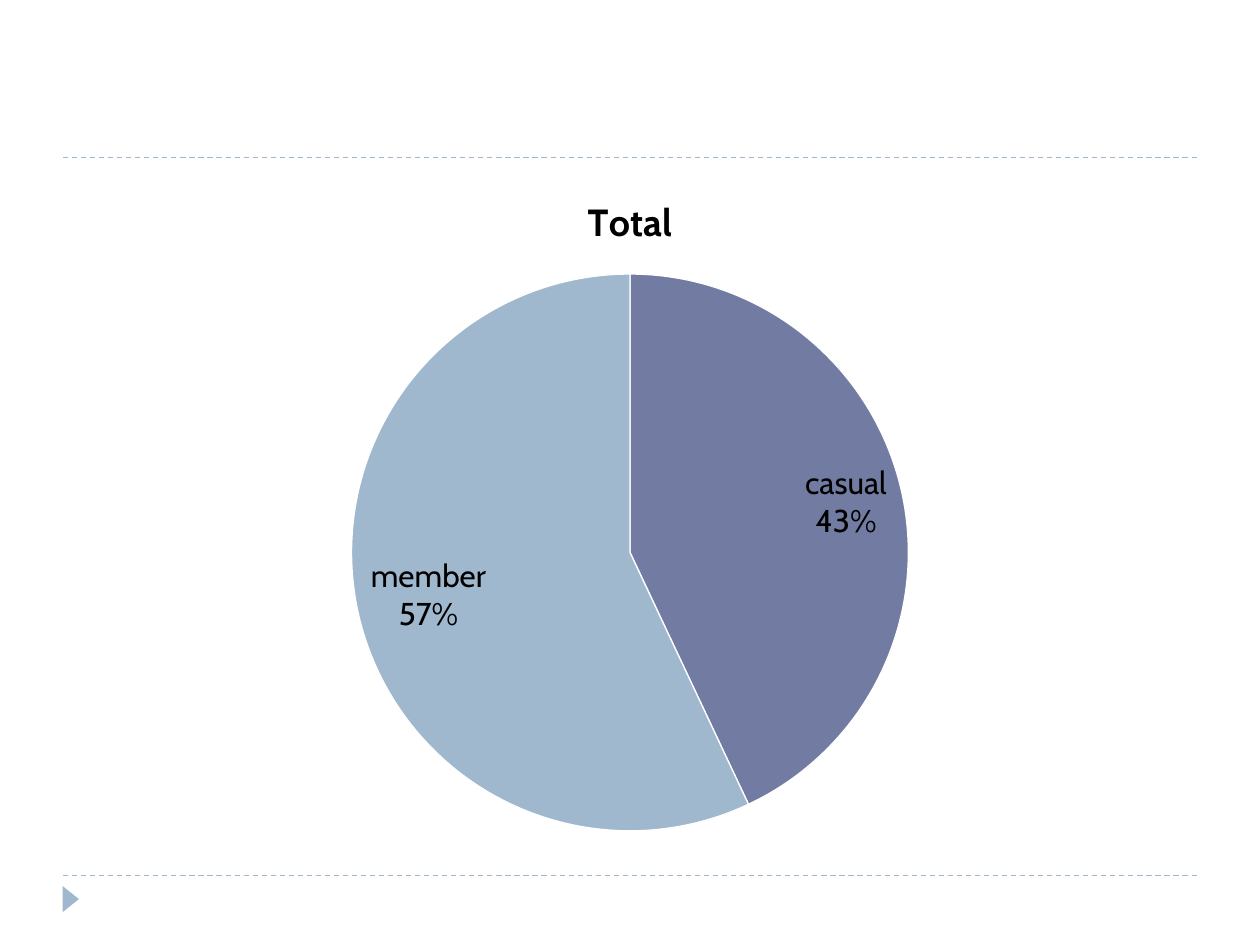
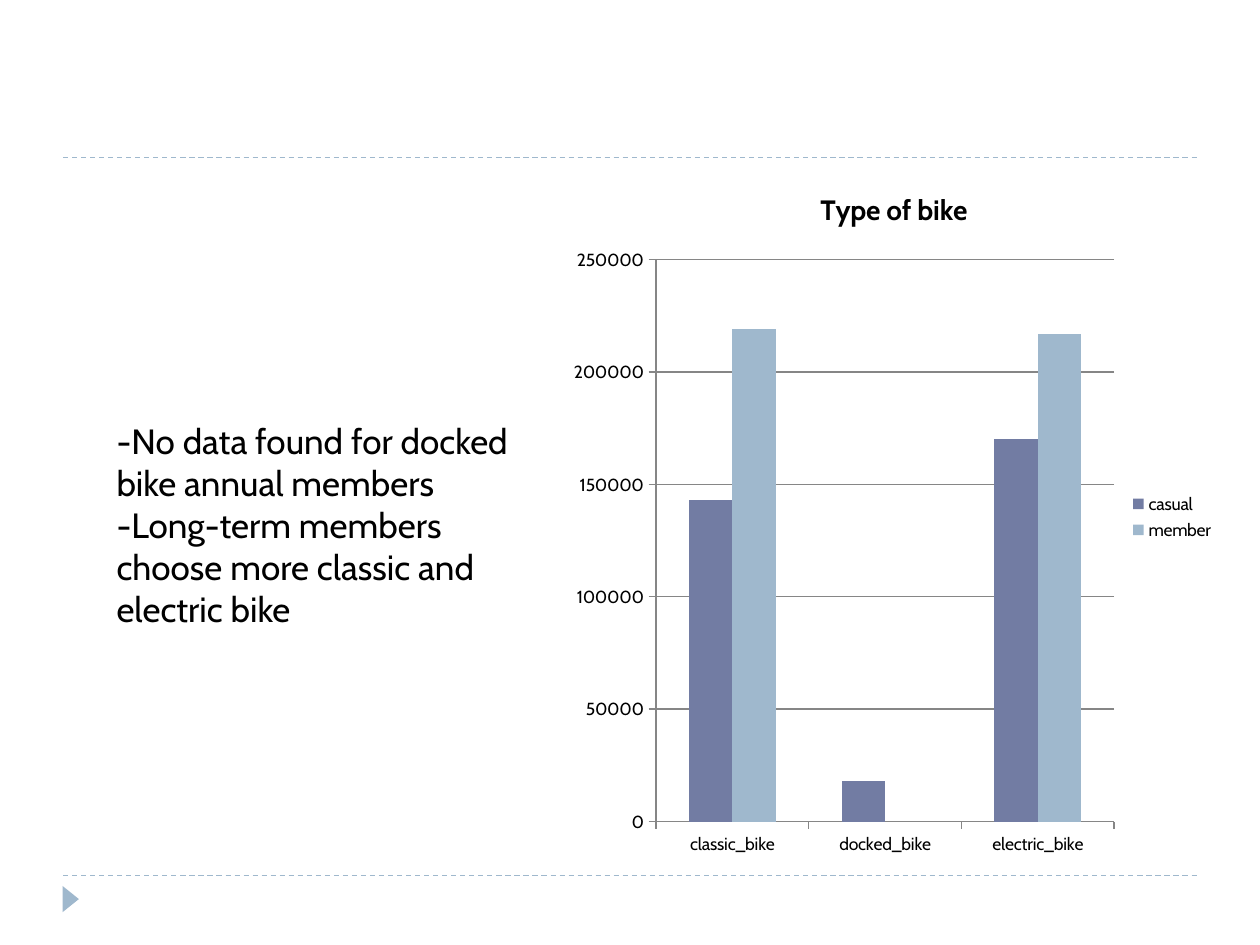
import pptx
import pptx.chart.data
import pptx.dml.color
import pptx.enum.chart
import pptx.enum.dml
import pptx.enum.shapes
import pptx.oxml
import pptx.oxml.ns
import pptx.util
from dataclasses import dataclass

Cm = pptx.util.Cm
Pt = pptx.util.Pt
RGB = pptx.dml.color.RGBColor.from_string
XL = pptx.enum.chart


@dataclass(frozen=True)
class Theme:
    font: str = "Cabin"
    text: str = "000000"
    casual: str = "727CA3"
    member: str = "9FB8CD"
    axis: str = "868686"
    white: str = "FFFFFF"
    body_size: float = 20
    pie_size: float = 18
    pie_title_size: float = 21.6
    bar_size: float = 10
    bar_title_size: float = 16


THEME = Theme()


def style_font(font, size, bold=False):
    font.name = THEME.font
    font.size = Pt(size)
    font.bold = bold
    font.color.rgb = RGB(THEME.text)


def add_rule(slide, y):
    line = slide.shapes.add_connector(
        pptx.enum.shapes.MSO_CONNECTOR.STRAIGHT, Cm(1.27), Cm(y), Cm(24.13), Cm(y))
    line.line.color.rgb = RGB(THEME.member)
    line.line.width = Pt(0.75)
    line.line.dash_style = pptx.enum.dml.MSO_LINE.DASH
    line._element.spPr.append(pptx.oxml.parse_xml(
        f'<a:effectLst {pptx.oxml.ns.nsdecls("a")}/>'))


def add_marker(slide):
    sp = slide.shapes.add_shape(
        pptx.enum.shapes.MSO_SHAPE.ISOSCELES_TRIANGLE,
        Cm(1.16), Cm(17.96), Cm(0.53), Cm(0.33))
    sp.rotation = 90
    sp.shadow.inherit = False
    sp.fill.solid()
    sp.fill.fore_color.rgb = RGB(THEME.member)
    sp.line.fill.background()


def add_framed_slide(prs):
    """Add a blank slide with the shared rules and footer marker."""
    slide = prs.slides.add_slide(prs.slide_layouts[6])
    for y in (17.65, 3.18):
        add_rule(slide, y)
    add_marker(slide)
    return slide


def add_chart(slide, kind, box, categories, series, title, size, title_size):
    data = pptx.chart.data.CategoryChartData()
    data.categories = categories
    for name, values in series:
        data.add_series(name, values)
    chart = slide.shapes.add_chart(kind, *map(Cm, box), data).chart
    style_font(chart.font, size)
    chart.has_title = True
    tf = chart.chart_title.text_frame
    tf.text = title
    style_font(tf.paragraphs[0].runs[0].font, title_size, bold=True)
    chart.chart_title.include_in_layout = False
    return chart


def add_total_pie(slide):
    chart = add_chart(
        slide, XL.XL_CHART_TYPE.PIE, (1.27, 3.38, 22.86, 13.72),
        ["casual", "member"], [("Series 1", (43, 57))],
        "Total", THEME.pie_size, THEME.pie_title_size)
    chart.has_legend = False
    plot = chart.plots[0]
    plot.vary_by_categories = True
    for i, color in enumerate((THEME.casual, THEME.member)):
        fmt = plot.series[0].points[i].format
        fmt.fill.solid()
        fmt.fill.fore_color.rgb = RGB(color)
        fmt.line.color.rgb = RGB(THEME.white)
        fmt.line.width = Pt(0.75)
    plot.has_data_labels = True
    labels = plot.data_labels
    labels.show_percentage = True
    labels.show_category_name = True
    labels.show_value = False
    labels.position = XL.XL_LABEL_POSITION.BEST_FIT
    style_font(labels.font, THEME.pie_size)


def add_bike_columns(slide):
    chart = add_chart(
        slide, XL.XL_CHART_TYPE.COLUMN_CLUSTERED, (11.3, 3.32, 13.44, 14.2),
        ["classic_bike", "docked_bike", "electric_bike"],
        [("casual", (143000, 18000, 170000)), ("member", (219000, None, 217000))],
        "Type of bike", THEME.bar_size, THEME.bar_title_size)
    chart.has_legend = True
    chart.legend.position = XL.XL_LEGEND_POSITION.RIGHT
    chart.legend.include_in_layout = False
    plot = chart.plots[0]
    plot.gap_width = 150
    plot.overlap = 0
    plot.vary_by_categories = False
    for ser, color in zip(plot.series, (THEME.casual, THEME.member)):
        ser.format.fill.solid()
        ser.format.fill.fore_color.rgb = RGB(color)
    val = chart.value_axis
    val.minimum_scale, val.maximum_scale, val.major_unit = 0, 250000, 50000
    val.has_major_gridlines = True
    for part in (val, chart.category_axis, val.major_gridlines):
        part.format.line.color.rgb = RGB(THEME.axis)
        part.format.line.width = Pt(0.75)
    for axis in (val, chart.category_axis):
        axis.major_tick_mark = XL.XL_TICK_MARK.OUTSIDE


def add_text(slide, box, lines):
    tf = slide.shapes.add_textbox(*map(Cm, box)).text_frame
    tf.word_wrap = True
    tf.text = "\n".join(lines)
    for p in tf.paragraphs:
        for r in p.runs:
            style_font(r.font, THEME.body_size)


def main():
    prs = pptx.Presentation()
    prs.slide_width, prs.slide_height = Cm(25.4), Cm(19.05)

    add_total_pie(add_framed_slide(prs))

    slide = add_framed_slide(prs)
    add_bike_columns(slide)
    add_text(slide, (2.1, 8.33, 8.61, 4.52), [
        "-No data found for docked bike annual members",
        "-Long-term members choose more classic and electric bike",
    ])

    prs.save("out.pptx")


if __name__ == "__main__":
    main()
